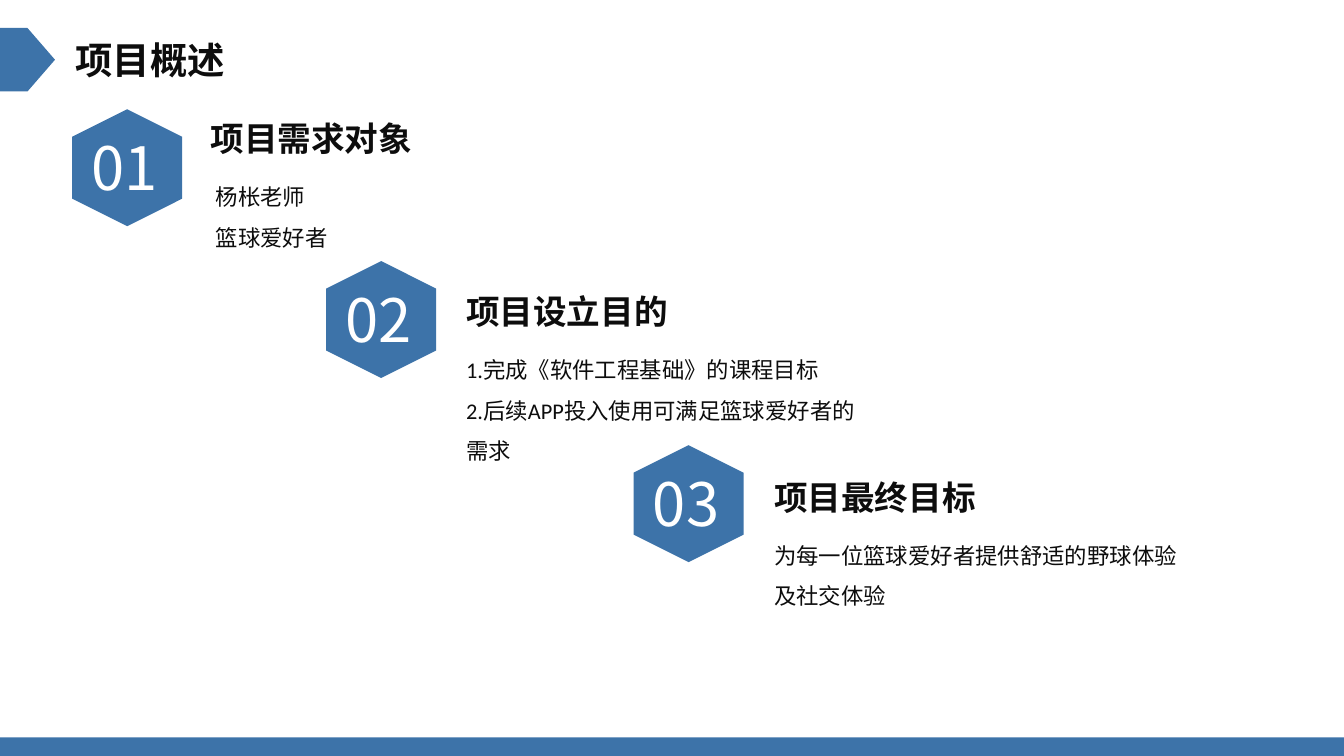
import pptx
import pptx.util
import pptx.dml.color
import pptx.enum.shapes
import pptx.enum.text
import pptx.oxml.ns
import lxml.etree

Cm = pptx.util.Cm
SHAPE = pptx.enum.shapes.MSO_SHAPE
TEXT = pptx.enum.text

COLORS = {"blue": "3D73A9", "ink": "0D0D0D", "white": "FFFFFF"}
CJK = "Noto Sans CJK SC"
TITLE = "项目概述"
SECTIONS = [
    {"hexagon": (1.3, 2.13), "heading_at": (3.73, 2.11), "indent": 0.1,
     "heading": "项目需求对象", "body": ["杨枨老师", "篮球爱好者"]},
    {"hexagon": (6.1, 5.0), "heading_at": (8.56, 5.38), "indent": 0,
     "heading": "项目设立目的",
     "body": ["1.完成《软件工程基础》的课程目标", "2.后续APP投入使用可满足篮球爱好者的需求"]},
    {"hexagon": (11.91, 8.48), "heading_at": (14.38, 8.89), "indent": 0,
     "heading": "项目最终目标", "body": ["为每一位篮球爱好者提供舒适的野球体验及社交体验"]},
]
STYLES = {
    "title": {"size": 20, "bold": True, "name": CJK, "color": "ink"},
    "number": {"size": 32, "bold": False, "name": CJK, "color": "white"},
    "heading": {"size": 18, "bold": True, "name": CJK, "color": "ink"},
    "body": {"size": 12, "bold": False, "name": "Calibri", "color": "ink"},
}


def rgb(name):
    return pptx.dml.color.RGBColor.from_string(COLORS[name])


def write(sp, lines, style, wrap=True, spacing=1.0):
    tf = sp.text_frame
    frame = {"word_wrap": wrap, "vertical_anchor": TEXT.MSO_ANCHOR.TOP,
             "auto_size": TEXT.MSO_AUTO_SIZE.SHAPE_TO_FIT_TEXT}
    for key, value in frame.items():
        setattr(tf, key, value)
    for i, line in enumerate(lines):
        p = tf.add_paragraph() if i else tf.paragraphs[0]
        p.alignment = TEXT.PP_ALIGN.LEFT
        p.line_spacing = spacing
        r = p.add_run()
        r.text = line
        for key, value in STYLES[style].items():
            if key == "color":
                r.font.color.rgb = rgb(value)
            else:
                setattr(r.font, key, pptx.util.Pt(value) if key == "size" else value)
        ea = lxml.etree.SubElement(r.font._element, pptx.oxml.ns.qn("a:ea"))
        ea.set("typeface", CJK)


def add_block(s, kind, x, y, w, h, rotation=0):
    sp = s.shapes.add_shape(kind, Cm(x), Cm(y), Cm(w), Cm(h))
    sp.rotation = rotation
    sp.shadow.inherit = False
    sp.fill.solid()
    sp.fill.fore_color.rgb = rgb("blue")
    sp.line.fill.background()


def add_text(s, x, y, w, h, *args, **options):
    write(s.shapes.add_textbox(Cm(x), Cm(y), Cm(w), Cm(h)), *args, **options)


def main():
    prs = pptx.Presentation()
    prs.slide_width, prs.slide_height = Cm(25.4), Cm(14.29)
    s = prs.slides.add_slide(prs.slide_layouts[5])

    add_block(s, SHAPE.RECTANGLE, 0, 13.94, 25.4, 0.4)
    add_block(s, SHAPE.PENTAGON, 0, 0.53, 1.04, 1.2)

    title = s.shapes.title
    place = {"left": 1.17, "top": 0.58, "width": 3.35, "height": 1.11}
    for key, value in place.items():
        setattr(title, key, Cm(value))
    write(title, [TITLE], "title", wrap=False)

    for number, section in enumerate(SECTIONS, 1):
        x, y = section["hexagon"]
        add_block(s, SHAPE.HEXAGON, x, y, 2.21, 2.08, rotation=270)
        add_text(s, x + 0.18, y + 0.22, 1.85, 1.63, [f"{number:02}"], "number", wrap=False)
        x, y = section["heading_at"]
        body = section["body"]
        add_text(s, x + section["indent"], y + 0.98, 8.2, 1.75, body, "body", spacing=1.5)
        add_text(s, x, y, 5.61, 1.02, [section["heading"]], "heading")

    prs.save("out.pptx")


if __name__ == "__main__":
    main()
